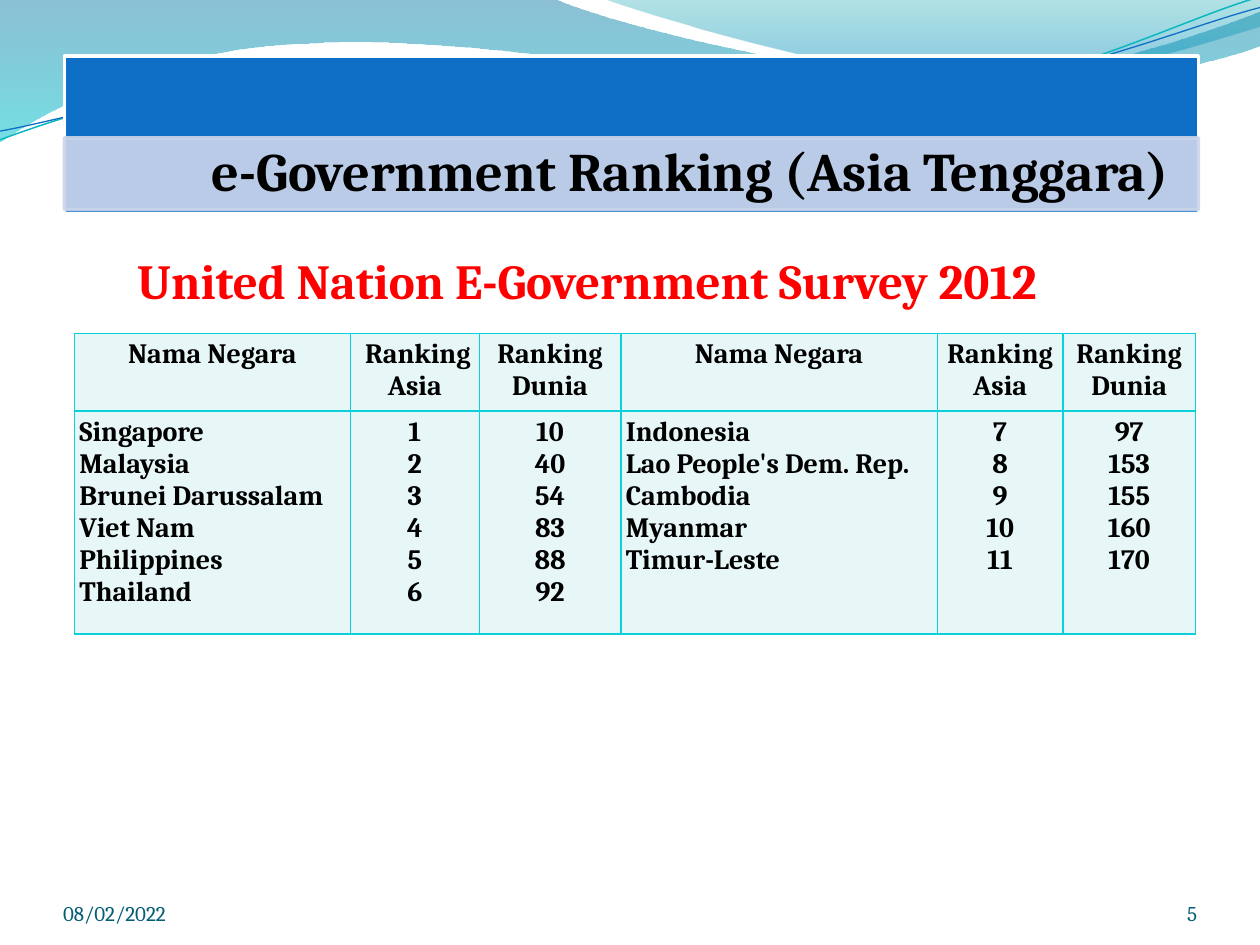
from dataclasses import dataclass

from lxml.etree import SubElement
from pptx import Presentation
from pptx.dml.color import RGBColor
from pptx.enum.shapes import MSO_SHAPE
from pptx.enum.text import MSO_ANCHOR, MSO_AUTO_SIZE, PP_ALIGN
from pptx.oxml.ns import qn
from pptx.util import Pt


@dataclass(frozen=True)
class Theme:
    font: str = "Cambria"
    ink: str = "000000"
    accent: str = "FF0000"
    footer: str = "045D75"
    white: str = "FFFFFF"
    blue: str = "0F6FC6"
    band: str = "CCD5EA"
    teal: str = "0AB8BF"
    border: str = "0BD0D9"
    cell: str = "E7F7F8"
    title_size: float = 31
    heading_size: float = 28
    table_size: float = 16
    footer_size: float = 12


THEME = Theme()

# Each outline is a start point and its segments:
# two numbers make a line, six make a Bézier curve.
LARGE_WAVE = [
    (0, 0), (316.8, -0.7), (342.7, 12.2, 478.1, 45.4, 545.8, 45.4),
    (614.2, 45.4, 689.8, 18.7, 720, 6.5), (720.7, 25.9),
    (707.8, 31.7, 626.4, 54.7, 537.1, 54), (447.8, 54, 275, 20.2, 185, 24.5),
    (92.9, 25.9, 33.1, 59.8, -0.7, 81.4),
]
SMALL_WAVE = [
    (344.9, -0.7), (366.5, 7.9, 491, 44.6, 553.7, 46.8),
    (616.3, 49.7, 691.9, 23, 720, 15.1), (720, 0),
]
TEAL_STRAND = [
    (0, 79.9), (34.6, 67, 113.8, 41, 199.4, 37.4),
    (284.4, 33.8, 427, 64.1, 513.4, 57.6), (599.8, 51.1, 675.4, 10.8, 718.6, -1.4),
]
BLUE_STRAND = [
    (0, 74.9), (33.8, 69.1, 118.1, 43.9, 203.8, 40.3),
    (290.2, 36.7, 429.8, 60.5, 516.2, 54), (601.9, 48.2, 677.5, 15.1, 720, 4.3),
]

HEADERS = ["Nama Negara", " Ranking Asia", "Ranking Dunia",
           "Nama Negara", "Ranking Asia", "Ranking Dunia"]
COUNTRIES = [
    ["Singapore", "Malaysia", "Brunei Darussalam", "Viet Nam", "Philippines", "Thailand"],
    ["1", "2", "3", "4", "5", "6"],
    ["10", "40", "54", "83", "88", "92"],
    ["Indonesia", "Lao People's Dem. Rep. Cambodia", "Myanmar", "Timur-Leste"],
    ["7", "8", "9", "10", "11"],
    ["97", "153", "155", "160", "170"],
]
COLUMN_WIDTHS = [157.7, 73.7, 80.9, 180.9, 71.8, 75.7]
ROW_HEIGHTS = [42.5, 127.5]


def rgb(value):
    return RGBColor.from_string(value)


def set_opacity(properties, percents):
    """Set the opacity of each colour inside properties, in order."""
    for color, percent in zip(properties.iter(qn("a:srgbClr")), percents):
        if percent < 100:
            SubElement(color, qn("a:alpha"), val=str(percent * 1000))


def write(frame, lines, size, color, bold=True, align=PP_ALIGN.LEFT):
    for index, line in enumerate(lines):
        para = frame.paragraphs[0] if index == 0 else frame.add_paragraph()
        para.alignment = align
        span = para.add_run()
        span.text = line
        span.font.name = THEME.font
        span.font.size = Pt(size)
        span.font.bold = bold
        span.font.color.rgb = rgb(color)
        # The end mark would otherwise keep its larger default size.
        SubElement(para._p, qn("a:endParaRPr"), sz=str(size * 100))


def set_margins(frame, side, top):
    frame.margin_left = frame.margin_right = Pt(side)
    frame.margin_top = frame.margin_bottom = Pt(top)


def add_text_box(page, box):
    frame = page.shapes.add_textbox(*map(Pt, box)).text_frame
    frame.word_wrap = True
    return frame


def add_outline(page, box, outline, closed):
    left, top = box[:2]

    def place(x, y):
        return Pt(left + x), Pt(top + y)

    start, *segments = outline
    builder = page.shapes.build_freeform(*place(*start))
    builder.add_line_segments([place(*segment[-2:]) for segment in segments], close=closed)
    shape = builder.convert_to_shape()
    shape.shadow.inherit = False
    lines = list(shape.element.iter(qn("a:lnTo")))
    for line, segment in zip(lines, segments):
        if len(segment) == 6:
            line.tag = qn("a:cubicBezTo")
            end = line[0]
            for control in (segment[:2], segment[2:4]):
                x, y = place(*control)
                SubElement(line, qn("a:pt"), x=str(x - shape.left), y=str(y - shape.top))
            line.append(end)
    return shape


def add_waves(page, box):
    waves = [
        (LARGE_WAVE, [(0, "0074A1", 45), (1, "00C6CF", 55)]),
        (SMALL_WAVE, [(0, "00A1A9", 30), (0.8, "008BBF", 45)]),
    ]
    for outline, stops in waves:
        wave = add_outline(page, box, outline, closed=True)
        wave.line.fill.background()
        wave.fill.gradient()
        wave.fill.gradient_angle = 270
        for stop, (position, color, _) in zip(wave.fill.gradient_stops, stops):
            stop.position = position
            stop.color.rgb = rgb(color)
        set_opacity(wave.element.spPr, [opacity for _, _, opacity in stops])
    for outline, color, width in [(TEAL_STRAND, THEME.teal, 0.85),
                                  (BLUE_STRAND, THEME.blue, 0.75)]:
        strand = add_outline(page, box, outline, closed=False)
        strand.fill.background()
        strand.line.color.rgb = rgb(color)
        strand.line.width = Pt(width)


def add_heading(page, box, text):
    frame = add_text_box(page, box)
    write(frame, [text], THEME.heading_size, THEME.accent)
    frame.paragraphs[0]._p.get_or_add_pPr().set("marL", str(Pt(35.3)))


def format_cell(cell):
    cell.margin_left = cell.margin_right = Pt(2.9)
    cell.margin_top = cell.margin_bottom = Pt(2.9)
    properties = cell._tc.get_or_add_tcPr()
    for side in ("a:lnL", "a:lnR", "a:lnT", "a:lnB"):
        line = SubElement(properties, qn(side), w=str(Pt(1)))
        fill = SubElement(line, qn("a:solidFill"))
        SubElement(fill, qn("a:srgbClr"), val=THEME.border)
    cell.fill.solid()
    cell.fill.fore_color.rgb = rgb(THEME.cell)


def add_ranking_table(page, box):
    table = page.shapes.add_table(2, len(HEADERS), *map(Pt, box)).table
    for row, height in zip(table.rows, ROW_HEIGHTS):
        row.height = Pt(height)
    for index, width in enumerate(COLUMN_WIDTHS):
        table.columns[index].width = Pt(width)
        body_align = PP_ALIGN.LEFT if index % 3 == 0 else PP_ALIGN.CENTER
        for row, lines, align in [(0, [HEADERS[index]], PP_ALIGN.CENTER),
                                  (1, COUNTRIES[index], body_align)]:
            cell = table.cell(row, index)
            format_cell(cell)
            write(cell.text_frame, lines, THEME.table_size, THEME.ink, align=align)


def add_title_banner(page, box, text):
    left, top, width, height = box
    band_box = (left, top + 46.8, width, 41)
    for part, fill, line, opacity in [(box, THEME.blue, THEME.white, 100),
                                      (band_box, THEME.band, THEME.band, 90)]:
        bar = page.shapes.add_shape(MSO_SHAPE.RECTANGLE, *map(Pt, part))
        bar.shadow.inherit = False
        bar.fill.solid()
        bar.fill.fore_color.rgb = rgb(fill)
        bar.line.color.rgb = rgb(line)
        bar.line.width = Pt(2)
        set_opacity(bar.element.spPr, [opacity, opacity])

    title = page.shapes.title
    title.left, title.top, title.width, title.height = map(Pt, band_box)
    title.element.getparent().append(title.element)  # in front of the bars
    frame = title.text_frame
    frame.word_wrap = True
    frame.auto_size = MSO_AUTO_SIZE.NONE
    frame.vertical_anchor = MSO_ANCHOR.MIDDLE
    set_margins(frame, 17.3, 2.9)
    write(frame, [text], THEME.title_size, THEME.ink, align=PP_ALIGN.RIGHT)
    frame.paragraphs[0].line_spacing = 0.9


def add_footer(page, box, date, number):
    left, top, width, height = box
    for text, part_width, offset, align in [(date, 168, 0, PP_ALIGN.LEFT),
                                            (number, 60, width - 60, PP_ALIGN.RIGHT)]:
        frame = add_text_box(page, (left + offset, top, part_width, height))
        set_margins(frame, 0, 0)
        frame.vertical_anchor = MSO_ANCHOR.BOTTOM
        write(frame, [text], THEME.footer_size, THEME.footer, bold=False, align=align)


def main():
    deck = Presentation()
    deck.slide_width, deck.slide_height = Pt(720), Pt(540)
    page = deck.slides.add_slide(deck.slide_layouts[5])
    add_waves(page, (0, 0, 720, 82))
    add_heading(page, (36, 139.7, 648, 358.6), "United Nation E-Government Survey 2012")
    add_ranking_table(page, (42.5, 190.6, sum(COLUMN_WIDTHS), sum(ROW_HEIGHTS)))
    add_title_banner(page, (36.8, 32, 648, 90), "e-Government Ranking (Asia Tenggara)")
    add_footer(page, (36, 500.4, 648, 28.8), "08/02/2022", "5")
    deck.save("out.pptx")


if __name__ == "__main__":
    main()
